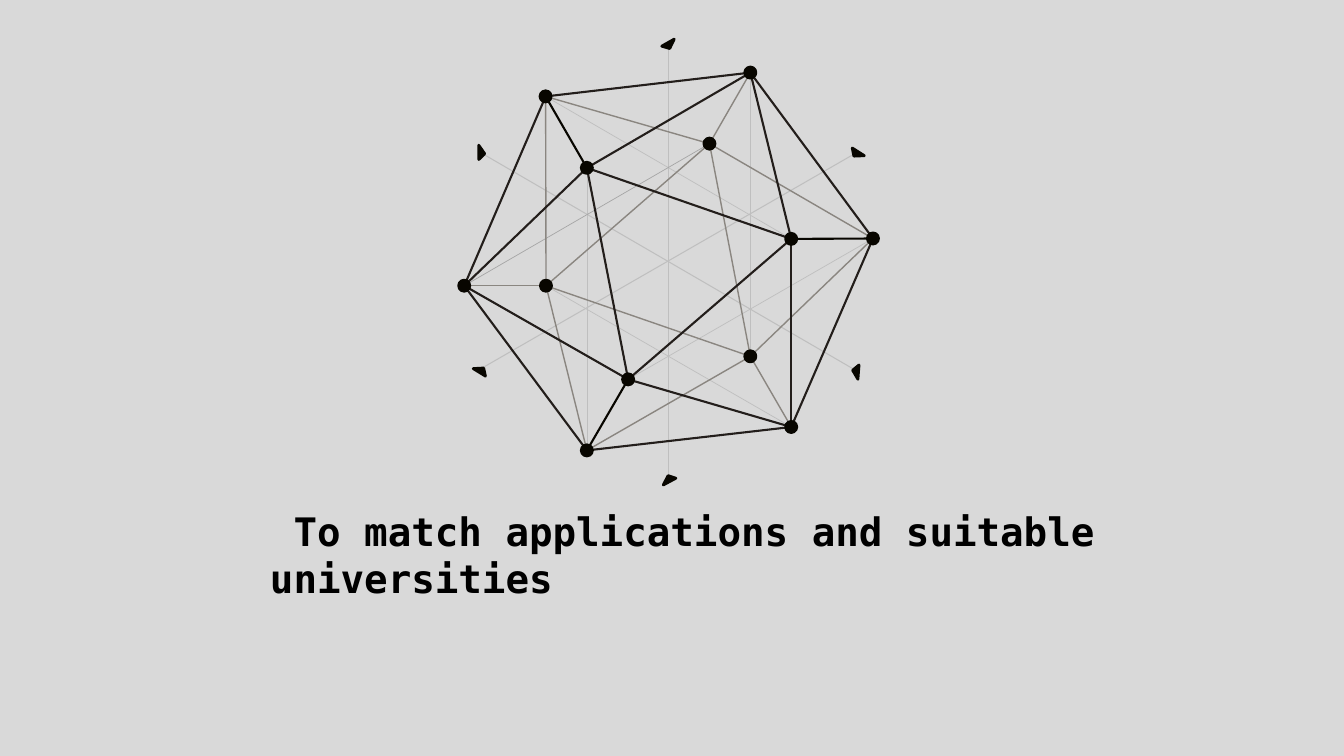
from pptx import Presentation
from pptx.dml.color import RGBColor
from pptx.enum.shapes import MSO_CONNECTOR, MSO_SHAPE
from pptx.enum.text import MSO_ANCHOR, MSO_AUTO_SIZE, PP_ALIGN
from pptx.oxml.ns import qn
from pptx.util import Cm, Pt
from lxml import etree

STRAIGHT = MSO_CONNECTOR.STRAIGHT
OVAL = MSO_SHAPE.OVAL
TRIANGLE = MSO_SHAPE.ISOSCELES_TRIANGLE

BACKGROUND = RGBColor(0xD9, 0xD9, 0xD9)
BLACK = RGBColor(0x00, 0x00, 0x00)
INK = RGBColor(0x08, 0x06, 0x00)
FRONT = RGBColor(0x23, 0x1E, 0x1B)
BACK = RGBColor(0x8A, 0x86, 0x80)
MIDDLE = RGBColor(0xA6, 0xA6, 0xA6)
FAINT = RGBColor(0xBF, 0xBF, 0xBF)

presentation = Presentation()
presentation.slide_width = Cm(33.87)
presentation.slide_height = Cm(19.05)
slide = presentation.slides.add_slide(presentation.slide_layouts[5])
slide.background.fill.solid()
slide.background.fill.fore_color.rgb = BACKGROUND


def add_line(start, end, color, width):
    line = slide.shapes.add_connector(STRAIGHT, *map(Cm, start + end))
    line.line.color.rgb = color
    line.line.width = Pt(width)
    etree.SubElement(line._element.spPr, qn("a:effectLst"))


def add_mark(kind, center, width, height):
    x, y = center
    shape = slide.shapes.add_shape(
        kind, Cm(x - width / 2), Cm(y - height / 2), Cm(width), Cm(height))
    shape.shadow.inherit = False
    shape.fill.solid()
    shape.fill.fore_color.rgb = INK
    shape.line.color.rgb = INK
    shape.line.width = Pt(2)
    return shape


# Title
title = slide.shapes.title
title.left, title.top, title.width, title.height = Cm(6.55), Cm(12.65), Cm(24.61), Cm(1.45)
frame = title.text_frame
frame.word_wrap = True
frame.auto_size = MSO_AUTO_SIZE.SHAPE_TO_FIT_TEXT
frame.vertical_anchor = MSO_ANCHOR.TOP
frame.text = " To match applications and suitable universities"
paragraph = frame.paragraphs[0]
paragraph.alignment = PP_ALIGN.LEFT
paragraph.font.name = "DejaVu Sans Mono"
paragraph.font.size = Pt(28)
paragraph.font.bold = True
paragraph.font.color.rgb = BLACK

# Symmetry axes
AXES = [
    ((12.19, 3.89), (21.51, 9.3)),
    ((12.19, 9.25), (21.51, 3.89)),
    ((16.84, 1.24), (16.84, 11.96)),
]
for start, end in AXES:
    add_line(start, end, FAINT, 0.75)

# Vertices of the icosahedron
VERTICES = {
    "A": (13.75, 2.43), "B": (18.91, 1.83), "C": (14.79, 4.23),
    "D": (17.88, 3.62), "E": (22.0, 6.01), "F": (19.94, 6.02),
    "G": (11.7, 7.2), "H": (13.76, 7.2), "I": (15.83, 9.56),
    "J": (18.91, 8.98), "K": (14.79, 11.35), "L": (19.94, 10.76),
}

# Edges as vertex pairs, from back to front
EDGES = [
    ("BJ IE HL CK AF", FAINT, 0.5),
    ("GD", MIDDLE, 0.5),
    ("AH HK HD DE DJ JE HJ GH KJ JL AD DB", BACK, 1),
    ("GC BF FL IL AG FI GI GK CF CI BE EL KL BC AB", FRONT, 1.5),
    ("IK FE AC", INK, 1.5),
]
for pairs, color, width in EDGES:
    for first, second in pairs.split():
        add_line(VERTICES[first], VERTICES[second], color, width)

# Vertex dots
for center in VERTICES.values():
    add_mark(OVAL, center, 0.28, 0.28)

# Arrowheads at the axis ends: centre and rotation
ARROWHEADS = [
    ((12.12, 9.32), 31.7),
    ((16.87, 1.14), 150.5),
    ((16.84, 12.07), 331.8),
    ((12.14, 3.84), 90),
    ((21.56, 9.37), 274.5),
    ((21.59, 3.89), 212.5),
]
for center, rotation in ARROWHEADS:
    arrowhead = add_mark(TRIANGLE, center, 0.36, 0.15)
    arrowhead.adjustments[0] = 0.6
    arrowhead.rotation = rotation

presentation.save("out.pptx")
